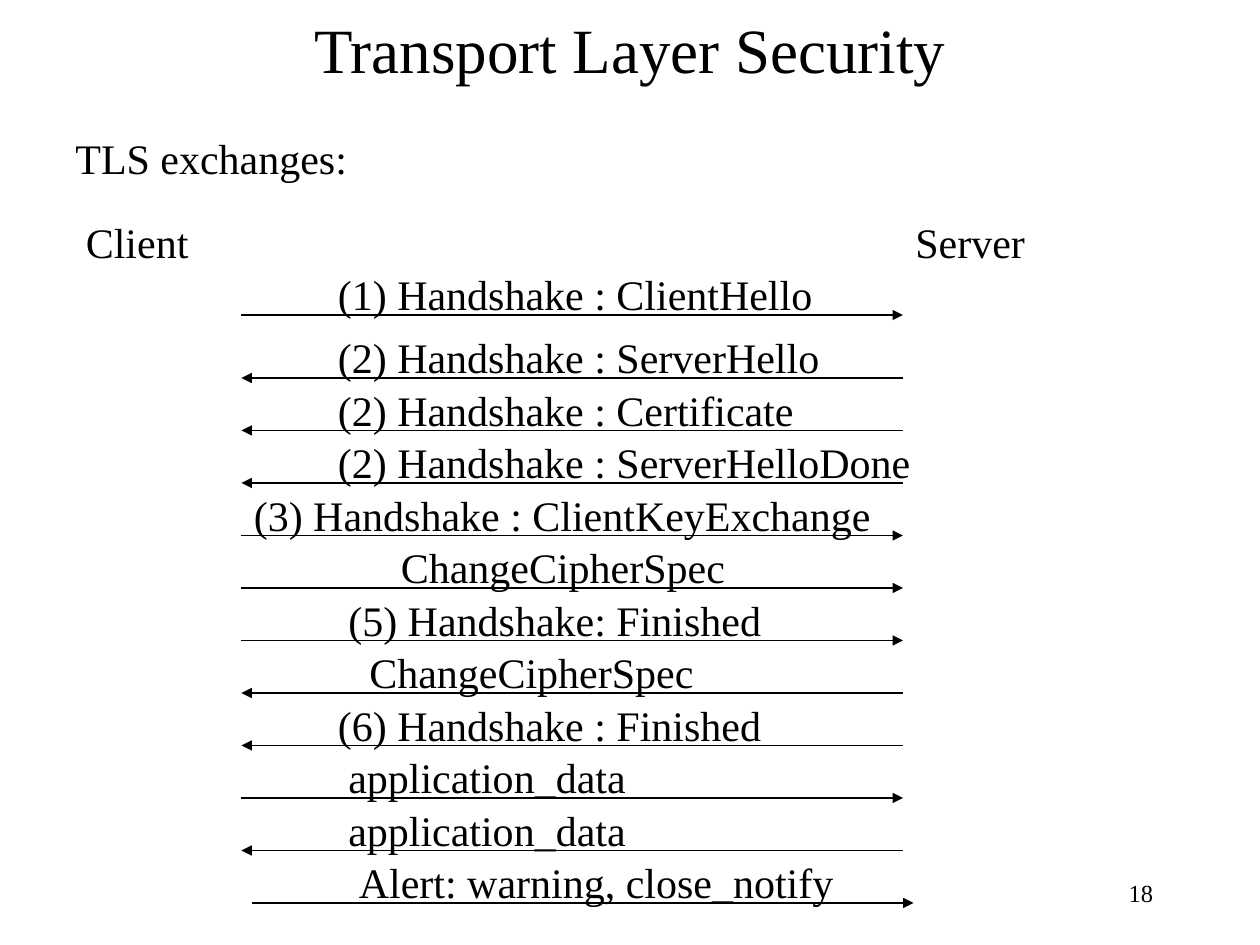
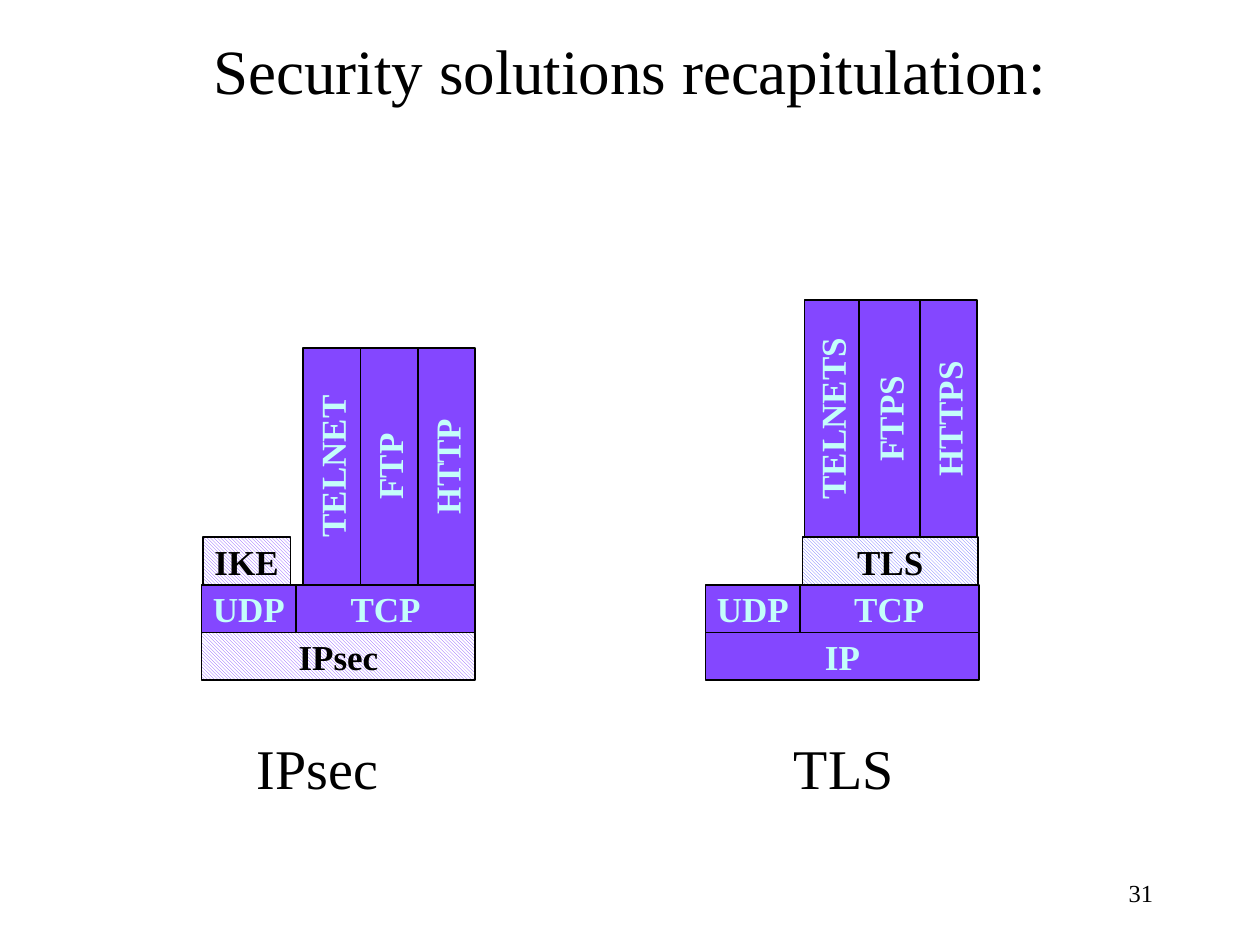
from lxml import etree
from pptx import Presentation
from pptx.dml.color import RGBColor
from pptx.enum.dml import MSO_PATTERN
from pptx.enum.shapes import MSO_CONNECTOR, MSO_SHAPE
from pptx.enum.text import MSO_ANCHOR, PP_ALIGN
from pptx.oxml.ns import qn
from pptx.util import Pt

LEFT, CENTER, RIGHT = PP_ALIGN.LEFT, PP_ALIGN.CENTER, PP_ALIGN.RIGHT
TOP, MIDDLE = MSO_ANCHOR.TOP, MSO_ANCHOR.MIDDLE
STRAIGHT = MSO_CONNECTOR.STRAIGHT
RECTANGLE = MSO_SHAPE.RECTANGLE
HATCH = MSO_PATTERN.LIGHT_DOWNWARD_DIAGONAL

FONT = "Times New Roman"
BLACK, WHITE = "000000", "FFFFFF"
VIOLET, BLUE, PALE_CYAN = "8447FF", "6666FF", "C4FEFA"


def color(value):
    return RGBColor.from_string(value)


def write(shape, text, size, align=LEFT, anchor=TOP, ink=BLACK, bold=False, wrap=True):
    frame = shape.text_frame
    frame.word_wrap = wrap
    frame.vertical_anchor = anchor
    paragraph = frame.paragraphs[0]
    paragraph.alignment = align
    if align == LEFT:
        spacing = etree.SubElement(paragraph._p.get_or_add_pPr(), qn("a:spcBef"))
        etree.SubElement(spacing, qn("a:spcPct"), val="20000")
    run = paragraph.add_run()
    run.text = text
    run.font.name = FONT
    run.font.size = Pt(size)
    run.font.bold = bold
    run.font.color.rgb = color(ink)


prs = Presentation()
prs.slide_width, prs.slide_height = Pt(720), Pt(540)

slides = []
for title, title_top, title_height, number in [
    ("Transport Layer Security", -0.7, 55.4, "18"),
    ("Security solutions recapitulation:", 10.8, 61.2, "31"),
]:
    slide = prs.slides.add_slide(prs.slide_layouts[6])
    heading = slide.shapes.add_textbox(Pt(36), Pt(title_top), Pt(648), Pt(title_height))
    heading.text_frame.margin_top = Pt(7)
    write(heading, title, 36, CENTER)
    page = slide.shapes.add_textbox(Pt(516), Pt(492), Pt(150), Pt(36))
    write(page, number, 14, RIGHT, MIDDLE)
    slides.append(slide)
exchange, recap = slides

for text, x, y, width, height in [
    ("TLS exchanges:", 36, 72, 666, 324),
    ("Client", 42, 120, 114, 54),
    ("Server", 516, 120, 114, 54),
]:
    write(exchange.shapes.add_textbox(Pt(x), Pt(y), Pt(width), Pt(height)), text, 24)

CLIENT_X, SERVER_X, STEP = 138, 516, 30
messages = [
    ("(1) Handshake : ClientHello", 186, True),
    ("(2) Handshake : ServerHello", 186, False),
    ("(2) Handshake : Certificate", 186, False),
    ("(2) Handshake : ServerHelloDone", 186, False),
    ("(3) Handshake : ClientKeyExchange", 138, True),
    ("ChangeCipherSpec", 222, True),
    ("(5) Handshake: Finished", 192, True),
    ("ChangeCipherSpec", 204, False),
    ("(6) Handshake : Finished", 186, False),
    ("application_data", 192, True),
    ("application_data", 192, False),
    ("Alert: warning, close_notify", 198, True),
]
for index, (text, x, to_server) in enumerate(messages):
    y = 186 + STEP * index if index else 180
    shift = 6 if index == len(messages) - 1 else 0
    start, end = (CLIENT_X, SERVER_X) if to_server else (SERVER_X, CLIENT_X)
    arrow = exchange.shapes.add_connector(
        STRAIGHT, Pt(start + shift), Pt(y), Pt(end + shift), Pt(y))
    arrow.line.color.rgb = color(BLACK)
    arrow.line.width = Pt(1)
    etree.SubElement(arrow.line._get_or_add_ln(), qn("a:tailEnd"), type="triangle")
    etree.SubElement(arrow._element.spPr, qn("a:effectLst"))
    label = exchange.shapes.add_textbox(Pt(x), Pt(y - STEP), Pt(390 if x == CLIENT_X else 354), Pt(54))
    write(label, text, 24)

ROW = 27.2
NETWORK_Y, TRANSPORT_Y, SECURITY_Y = 361.4, 334.2, 307
APP_HEIGHT = 135.4
layers = [
    ("TELNET", 173.2, 198.8, 32.8, APP_HEIGHT, None),
    ("FTP", 206, 198.8, 32.8, APP_HEIGHT, None),
    ("HTTP", 238.8, 198.8, 32.8, APP_HEIGHT, None),
    ("TELNETS", 459.8, 171.6, 31, APP_HEIGHT, None),
    ("FTPS", 490.8, 171.6, 35, APP_HEIGHT, None),
    ("HTTPS", 525.8, 171.6, 32.6, APP_HEIGHT, None),
    ("IKE", 116, SECURITY_Y, 50, ROW, VIOLET),
    ("UDP", 115.2, TRANSPORT_Y, 54, ROW, None),
    ("TCP", 169.2, TRANSPORT_Y, 102.4, ROW, None),
    ("IPsec", 115.2, NETWORK_Y, 156.4, ROW, VIOLET),
    ("TLS", 458.6, SECURITY_Y, 100.2, ROW, BLUE),
    ("TCP", 457, TRANSPORT_Y, 102.4, ROW, None),
    ("UDP", 403.2, TRANSPORT_Y, 54, ROW, None),
    ("IP", 403.2, NETWORK_Y, 156.4, ROW, None),
]
for text, x, y, width, height, hatch in layers:
    upright = height > width
    if upright:
        x, y = x + (width - height) / 2, y + (height - width) / 2
        width, height = height, width
    layer = recap.shapes.add_shape(RECTANGLE, Pt(x), Pt(y), Pt(width), Pt(height))
    layer.rotation = 270 if upright else 0
    layer.shadow.inherit = False
    layer.line.color.rgb = color(BLACK)
    layer.line.width = Pt(1)
    if hatch:
        layer.fill.patterned()
        layer.fill.pattern = HATCH
        layer.fill.fore_color.rgb = color(hatch)
        layer.fill.back_color.rgb = color(WHITE)
    else:
        layer.fill.solid()
        layer.fill.fore_color.rgb = color(VIOLET)
    write(layer, text, 20, CENTER, MIDDLE, BLACK if hatch else PALE_CYAN, True, False)

for text, x, width in [("IPsec", 139.6, 102), ("TLS", 446.6, 157)]:
    caption = recap.shapes.add_textbox(Pt(x), Pt(415.6), Pt(width), Pt(42))
    write(caption, text, 32)

prs.save("out.pptx")
